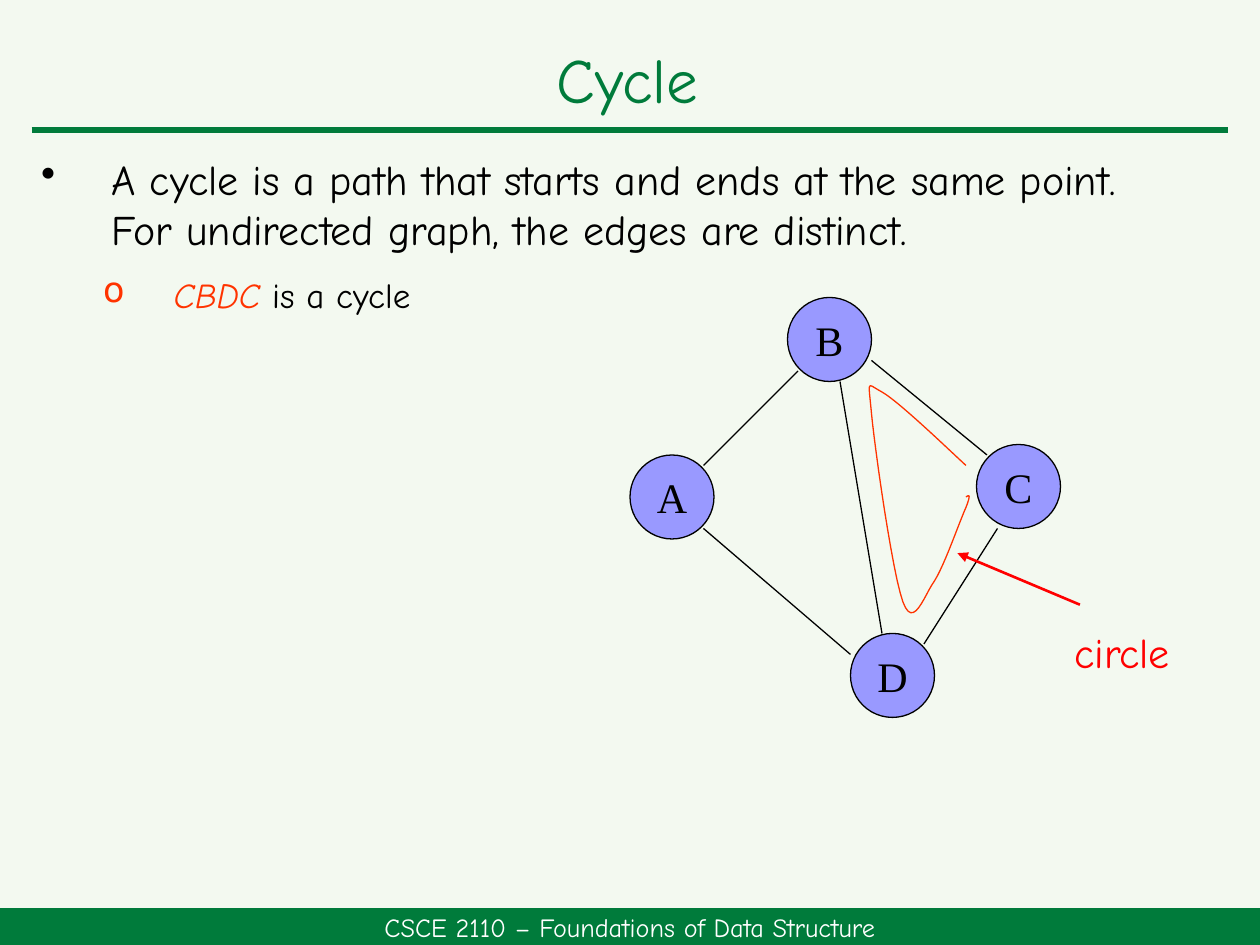
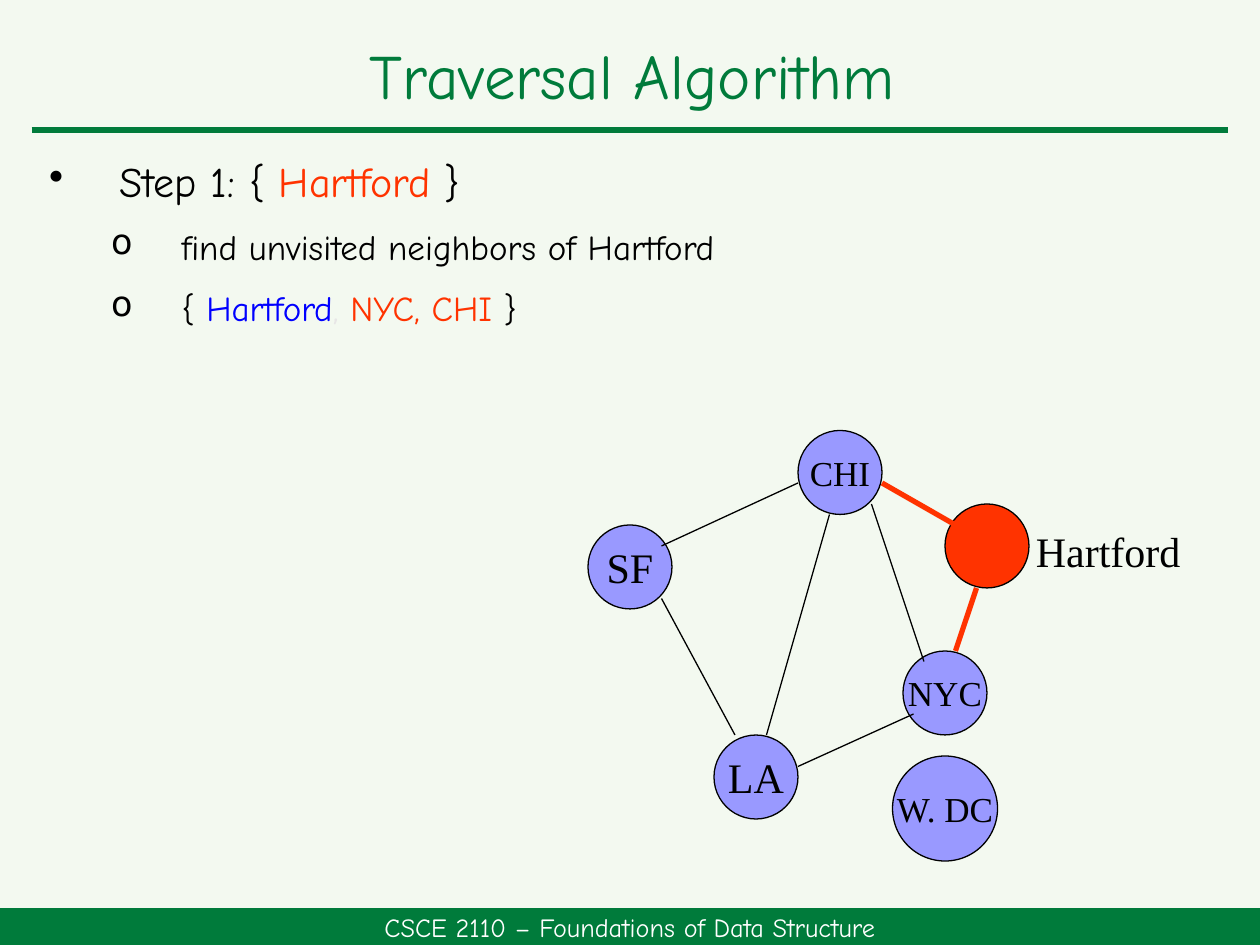
import pptx
import pptx.util
import pptx.dml.color
import pptx.enum.shapes
import pptx.enum.text
import lxml.etree
from pptx.oxml.ns import qn

Cm, Pt = pptx.util.Cm, pptx.util.Pt
SHAPE = pptx.enum.shapes.MSO_SHAPE
CENTER = pptx.enum.text.PP_ALIGN.CENTER
MIDDLE = pptx.enum.text.MSO_ANCHOR.MIDDLE

COLORS = {
    "page": "F3F9F0", "green": "007B3B", "black": "000000", "white": "FFFFFF",
    "node": "9999FF", "orange": "FF3300", "red": "FF0000", "blue": "0000FF",
    "pale": "E7E6E6",
}
HAND, SERIF = "Comic Neue", "Times New Roman"
WIDTH, HEIGHT = 25.4, 19.05
STEP = 2.54 / 12  # the graphs sit on a grid of twelve steps to the inch
BULLETS = [  # per level: character, left margin in cm, size, space before
    ("•", 1.42, 24, 10),
    ("o", 2.67, 20, 5),
]
HANGING = 1.42


def rgb(color):
    return pptx.dml.color.RGBColor.from_string(COLORS[color])


def bezier(p0, p1, p2, p3, parts=12):
    """Points along a cubic curve, without its start."""
    for i in range(1, parts + 1):
        t = i / parts
        u = 1 - t
        yield tuple(u**3 * a + 3 * u * u * t * b + 3 * u * t * t * c + t**3 * d
                    for a, b, c, d in zip(p0, p1, p2, p3))


class Deck:
    def __init__(self):
        self.prs = pptx.Presentation()
        self.prs.slide_width, self.prs.slide_height = Cm(WIDTH), Cm(HEIGHT)
        self.s = None
        self.grid_top = 0

    def slide(self, title, box, grid_top=0):
        self.s = self.prs.slides.add_slide(self.prs.slide_layouts[5])
        self.grid_top = grid_top
        fill = self.s.background.fill
        fill.solid()
        fill.fore_color.rgb = rgb("page")

        # Rule under the title and footer band
        self.line((0.64, 2.62), (24.76, 2.62), "green", 3)
        band = self.shape(SHAPE.RECTANGLE, (0, 18.31, WIDTH, 0.74), "green")
        self.label(band, "CSCE 2110 – Foundations of Data Structure", 15, HAND, "white", wrap=True)

        # Title
        sp = self.s.shapes.title
        sp.left, sp.top, sp.width, sp.height = map(Cm, box)
        sp.text_frame.auto_size = pptx.enum.text.MSO_AUTO_SIZE.NONE
        self.label(sp, title, 36, HAND, "green", wrap=True)
        sp.text_frame.paragraphs[0].line_spacing = 0.9

    def run(self, p, text, size, font, color, italic=False):
        r = p.add_run()
        r.text = text
        r.font.size, r.font.name, r.font.italic = Pt(size), font, italic
        r.font.color.rgb = rgb(color)

    def label(self, sp, text, size, font, color="black", wrap=False):
        tf = sp.text_frame
        tf.word_wrap, tf.vertical_anchor = wrap, MIDDLE
        p = tf.paragraphs[0]
        p.alignment = CENTER
        self.run(p, text, size, font, color)

    def text(self, box, text, font, color):
        sp = self.s.shapes.add_textbox(*map(Cm, box))
        tf = sp.text_frame
        tf.margin_left = tf.margin_right = 0  # the words fill the box width
        self.label(sp, text, 24, font, color)

    def bullets(self, box, items):
        """Each item is a level and its runs of (text, color[, italic])."""
        tf = self.s.shapes.add_textbox(*map(Cm, box)).text_frame
        tf.word_wrap = True
        for i, (level, runs) in enumerate(items):
            char, margin, size, before = BULLETS[level]
            p = tf.add_paragraph() if i else tf.paragraphs[0]
            p.level = level
            pPr = p._p.get_or_add_pPr()
            pPr.set("marL", str(Cm(margin)))
            pPr.set("indent", str(-Cm(HANGING)))
            lxml.etree.SubElement(pPr, qn("a:buChar"), char=char)
            p.space_before, p.space_after = Pt(before if i else 0), Pt(6)
            for text, color, *italic in runs:
                self.run(p, text, size, HAND, color, bool(italic))

    def shape(self, kind, box, fill, line=None):
        sp = self.s.shapes.add_shape(kind, *map(Cm, box))
        sp.shadow.inherit = False
        sp.fill.solid()
        sp.fill.fore_color.rgb = rgb(fill)
        if line:
            sp.line.color.rgb, sp.line.width = rgb(line), Pt(0.75)
        else:
            sp.line.fill.background()
        return sp

    def line(self, start, end, color="black", width=0.75, arrow=False):
        cx = self.s.shapes.add_connector(
            pptx.enum.shapes.MSO_CONNECTOR.STRAIGHT, *map(Cm, start + end))
        cx.line.color.rgb, cx.line.width = rgb(color), Pt(width)
        if arrow:
            lxml.etree.SubElement(cx.line._get_or_add_ln(), qn("a:tailEnd"), type="triangle")
        lxml.etree.SubElement(cx._element.spPr, qn("a:effectLst"))

    # Graph parts, placed in grid steps
    def grid(self, x, y):
        return x * STEP, y * STEP + self.grid_top

    def node(self, x, y, text="", size=24, fill="node", steps=8):
        sp = self.shape(SHAPE.OVAL, (*self.grid(x, y), steps * STEP, steps * STEP), fill, "black")
        if text:
            self.label(sp, text, size, SERIF)

    def edge(self, x1, y1, x2, y2, color="black", width=0.75):
        self.line(self.grid(x1, y1), self.grid(x2, y2), color, width)

    def curve(self, start, segments, color):
        points = [start]
        for segment in segments:
            points += bezier(points[-1], *segment)
        points = [tuple(map(Cm, self.grid(*point))) for point in points]
        fb = self.s.shapes.build_freeform(*points[0])
        fb.add_line_segments(points[1:], close=False)
        sp = fb.convert_to_shape()
        sp.shadow.inherit = False
        sp.fill.background()
        sp.line.color.rgb, sp.line.width = rgb(color), Pt(0.75)


def cycle_slide(deck):
    deck.slide("Cycle", (0.58, 0.84, 24.13, 1.69), grid_top=0.07)
    deck.bullets((0.58, 2.97, 23.29, 3.61), [
        (0, [("A cycle is a path that starts and ends at the same point. "
              "For undirected graph, the edges are distinct.", "black")]),
        (1, [("CBDC", "orange", True), (" is a cycle", "black")]),
    ])

    # Graph
    for x, y, name in [(75, 28, "B"), (93, 42, "C"), (81, 60, "D"), (60, 43, "A")]:
        deck.node(x, y, name)
    for ends in [(76, 35, 67, 44), (67, 50, 81, 62), (88, 61, 95, 50),
                 (80, 36, 84, 60), (83, 34, 94, 43)]:
        deck.edge(*ends)

    # Trace of the cycle and its callout
    deck.curve((92, 44), [
        ((88.8, 41), (85.4, 37.8), (84, 37)),
        ((82.5, 36.2), (82.7, 35.7), (83, 39)),
        ((83.3, 42.3), (85, 54.3), (86, 57)),
        ((87, 59.7), (88, 56.4), (89, 55)),
        ((90, 53.4), (91.4, 49.3), (92, 48)),
        ((92.5, 46.7), (92.3, 46.8), (92, 47)),
    ], "orange")
    deck.line((21.77, 12.19), (19.3, 11.15), "red", 1.5, arrow=True)
    deck.text((21.39, 12.6, 2.46, 1.07), "circle", HAND, "red")


def traversal_slide(deck):
    deck.slide("Traversal Algorithm", (0.66, 0.64, 24.16, 1.9))
    deck.bullets((0.74, 3.02, 24.08, 3.96), [
        (0, [("Step 1: { ", "black"), ("Hartford", "orange"), (" }", "black")]),
        (1, [("find unvisited neighbors of Hartford", "black")]),
        (1, [("{ ", "black"), ("Hartford", "blue"), (",", "pale"),
             (" NYC, CHI", "orange"), (" }", "black")]),
    ])

    # Cities
    deck.node(76, 41, "CHI", 20)
    deck.node(90, 48, fill="orange")
    deck.node(86, 62, "NYC", 20)
    deck.node(68, 70, "LA")
    deck.node(56, 50, "SF")
    deck.node(85, 72, "W. DC", 20, steps=10)
    deck.text((20.75, 10.36, 3.18, 1.48), "Hartford", SERIF, "black")

    # Routes, with those from Hartford marked
    for ends in [(63, 52, 76, 46), (63, 57, 70, 70), (79, 49, 73, 70),
                 (83, 48, 88, 63), (76, 73, 87, 68)]:
        deck.edge(*ends)
    for ends in [(84, 46, 91, 50), (93, 56, 91, 62)]:
        deck.edge(*ends, color="orange", width=3)


def main():
    deck = Deck()
    cycle_slide(deck)
    traversal_slide(deck)
    deck.prs.save("out.pptx")


if __name__ == "__main__":
    main()
